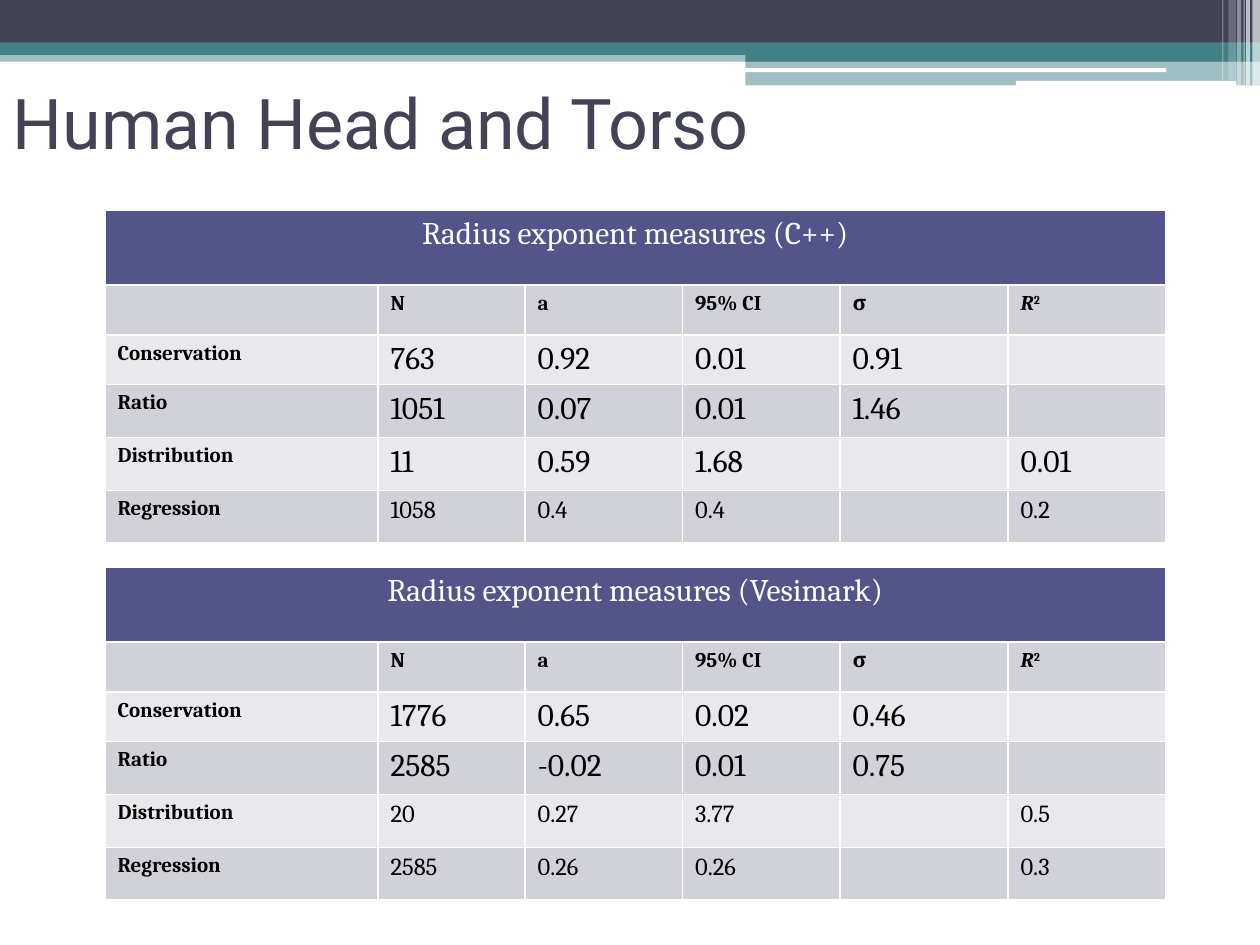
from lxml.etree import SubElement
from pptx import Presentation
from pptx.dml.color import RGBColor
from pptx.enum.shapes import MSO_SHAPE
from pptx.enum.text import MSO_ANCHOR, PP_ALIGN
from pptx.oxml.ns import qn
from pptx.util import Pt

WHITE = RGBColor(0xFF, 0xFF, 0xFF)
BLACK = RGBColor(0, 0, 0)
SLATE = RGBColor(0x42, 0x44, 0x56)
TEAL = RGBColor(0x43, 0x80, 0x86)
PURPLE = RGBColor(0x53, 0x54, 0x8A)
BAND_DARK = RGBColor(0xD1, 0xD1, 0xDA)
BAND_LIGHT = RGBColor(0xE9, 0xE9, 0xED)

# left, top, width, height, colour, opacity in percent
BANDS = [
    (0, 28.8, 720, 6.5, TEAL, 50),
    (0, 0, 720, 24.5, SLATE, 100),
    (0, 24.2, 720, 7.2, TEAL, 100),
    (426, 28, 294, 7.2, TEAL, 100),
    (426, 34.6, 294, 14.2, TEAL, 50),
]
RULES = [(425.5, 39, 241, 2.2, WHITE, 100), (580.5, 46.2, 126, 2.8, WHITE, 100)]
# left, width, height, opacity in percent
STRIPES = [
    (715.7, 4.3, 49, 65),
    (712.1, 2.2, 49, 65),
    (710.6, 0.7, 49, 60),
    (707, 2.2, 49, 40),
    (702, 4.3, 46, 20),
    (698.4, 0.7, 46, 30),
]

COLUMN_WIDTHS = [156, 84, 90, 90, 96, 90]
ROW_HEIGHTS = [43, 28.5, 28.4, 30.2, 30.2, 30.2]
HEADINGS = ["", "N", "a", "95% CI", "σ", "R"]

# row label, size of its values, values
CPP_ROWS = [
    ("Conservation", 18, ["763", "0.92", "0.01", "0.91", ""]),
    ("Ratio", 18, ["1051", "0.07", "0.01", "1.46", ""]),
    ("Distribution", 18, ["11", "0.59", "1.68", "", "0.01"]),
    ("Regression", 14, ["1058", "0.4", "0.4", "", "0.2"]),
]
VESIMARK_ROWS = [
    ("Conservation", 18, ["1776", "0.65", "0.02", "0.46", ""]),
    ("Ratio", 18, ["2585", "-0.02", "0.01", "0.75", ""]),
    ("Distribution", 14, ["20", "0.27", "3.77", "", "0.5"]),
    ("Regression", 14, ["2585", "0.26", "0.26", "", "0.3"]),
]


def add_span(para, text, color=BLACK, font="Cambria", **formats):
    span = para.add_run()
    span.text = text
    span.font.color.rgb = color
    for name, value in {"name": font, **formats}.items():
        setattr(span.font, name, value)
    return span


def add_bar(page, box, color, opacity, kind=MSO_SHAPE.RECTANGLE):
    bar = page.shapes.add_shape(kind, *map(Pt, box))
    bar.shadow.inherit = False
    bar.line.fill.background()
    bar.fill.solid()
    bar.fill.fore_color.rgb = color
    if opacity < 100:
        color_node = bar.element.spPr.find(".//" + qn("a:srgbClr"))
        SubElement(color_node, qn("a:alpha"), val=str(opacity * 1000))


def add_banner(page):
    for *box, color, opacity in BANDS:
        add_bar(page, box, color, opacity)
    for *box, color, opacity in RULES:
        add_bar(page, box, color, opacity, MSO_SHAPE.ROUNDED_RECTANGLE)
    for left, width, height, opacity in STRIPES:
        add_bar(page, (left, 0, width, height), WHITE, opacity)


def place_title(page, text, box):
    title = page.shapes.title
    for name, value in zip(("left", "top", "width", "height"), box):
        setattr(title, name, Pt(value))
    frame = title.text_frame
    frame.vertical_anchor = MSO_ANCHOR.TOP
    para = frame.paragraphs[0]
    para.alignment = PP_ALIGN.LEFT
    add_span(para, text, SLATE, "Roboto", size=Pt(40))


def style_cell(cell, color):
    """Give the cell thin white borders and a solid fill."""
    properties = cell._tc.get_or_add_tcPr()
    for side in "LRTB":
        line = SubElement(properties, qn(f"a:ln{side}"), w=str(Pt(1)))
        fill = SubElement(line, qn("a:solidFill"))
        SubElement(fill, qn("a:srgbClr"), val=str(WHITE))
    cell.fill.solid()
    cell.fill.fore_color.rgb = color


def add_measures(page, heading, rows, left, top):
    frame = page.shapes.add_table(
        len(ROW_HEIGHTS), len(COLUMN_WIDTHS), Pt(left), Pt(top),
        Pt(sum(COLUMN_WIDTHS)), Pt(sum(ROW_HEIGHTS)))
    table = frame.table
    for column, width in zip(table.columns, COLUMN_WIDTHS):
        column.width = Pt(width)
    for row, height in zip(table.rows, ROW_HEIGHTS):
        row.height = Pt(height)

    for cell in table.rows[0].cells:
        style_cell(cell, PURPLE)
    table.cell(0, 0).merge(table.cell(0, len(COLUMN_WIDTHS) - 1))
    para = table.cell(0, 0).text_frame.paragraphs[0]
    para.alignment = PP_ALIGN.CENTER
    add_span(para, heading, WHITE, size=Pt(18), bold=False)

    lines = [(HEADINGS, 12)] + [([label, *values], size) for label, size, values in rows]
    for r, (texts, size) in enumerate(lines, start=1):
        for c, text in enumerate(texts):
            cell = table.cell(r, c)
            style_cell(cell, BAND_DARK if r % 2 else BAND_LIGHT)
            para = cell.text_frame.paragraphs[0]
            para.font.size = Pt(12)
            if text:
                is_label = r == 1 or c == 0
                add_span(para, text, size=Pt(12 if is_label else size),
                         bold=is_label, italic=text == "R")

    para = table.cell(1, len(HEADINGS) - 1).text_frame.paragraphs[0]
    square = add_span(para, "2", size=Pt(12), bold=True, italic=False)
    square.font._element.set("baseline", "30000")


def main():
    deck = Presentation()
    deck.slide_width, deck.slide_height = Pt(720), Pt(540)
    page = deck.slides.add_slide(deck.slide_layouts[5])
    add_banner(page)
    add_measures(page, "Radius exponent measures (C++)", CPP_ROWS, 60, 120)
    add_measures(page, "Radius exponent measures (Vesimark)", VESIMARK_ROWS, 60, 324)
    place_title(page, "Human Head and Torso", (0, 42, 648, 84))
    deck.save("out.pptx")


if __name__ == "__main__":
    main()
